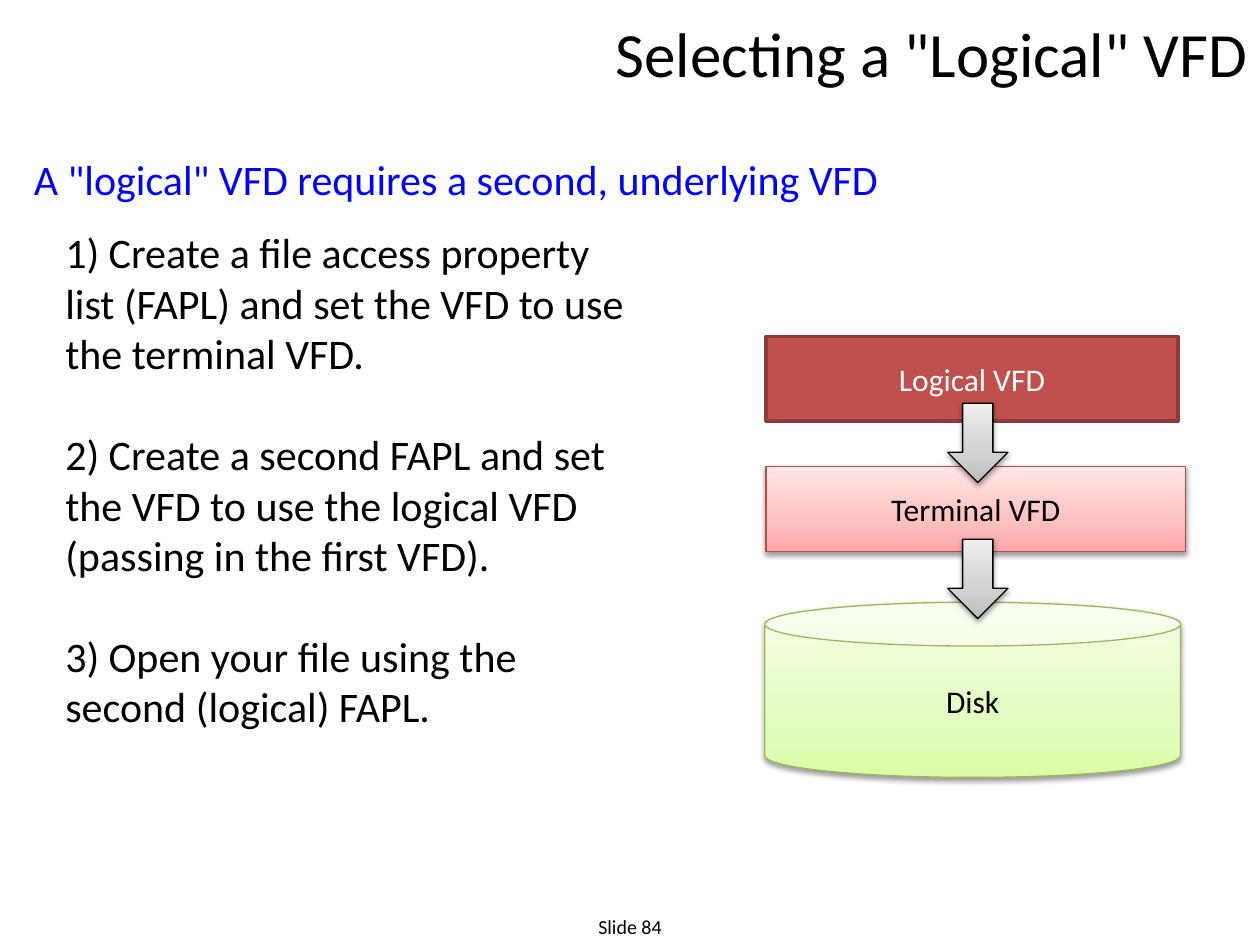
from lxml import etree
from pptx import Presentation, util as u
from pptx.dml.color import RGBColor
from pptx.enum import shapes, text
from pptx.oxml.ns import qn

SHAPE = shapes.MSO_SHAPE
ALIGN = text.PP_ALIGN


def color(hex_string):
    return RGBColor.from_string(hex_string)


def add_color(parent, hex_string):
    return etree.SubElement(parent, qn("a:srgbClr"), val=hex_string)


class SlideBuilder:
    """Draws styled text and diagram shapes on one slide."""

    font = "Calibri"
    stops = (0, 35, 100)

    def __init__(self, slide):
        self.slide = slide

    def fill_frame(self, frame, paragraphs, size, hex_string, align, gap=0):
        frame.word_wrap = True
        for index, words in enumerate(paragraphs):
            paragraph = frame.paragraphs[0] if index == 0 else frame.add_paragraph()
            paragraph.text = words
            paragraph.alignment = align
            if index:
                paragraph.space_before = u.Pt(gap)
            paragraph.font.name = self.font
            paragraph.font.size = u.Pt(size)
            paragraph.font.color.rgb = color(hex_string)

    def text(self, box, paragraphs, size, hex_string="000000", align=ALIGN.LEFT,
             anchor=text.MSO_ANCHOR.TOP, gap=0):
        frame = self.slide.shapes.add_textbox(*map(u.Inches, box)).text_frame
        frame.vertical_anchor = anchor
        self.fill_frame(frame, paragraphs, size, hex_string, align, gap)
        return frame

    def shape(self, kind, box, line, width, label=None, label_color="000000"):
        shape = self.slide.shapes.add_shape(kind, *map(u.Inches, box))
        shape.shadow.inherit = False
        shape.line.color.rgb = color(line)
        shape.line.width = u.Pt(width)
        if label:
            shape.text_frame.vertical_anchor = text.MSO_ANCHOR.MIDDLE
            self.fill_frame(shape.text_frame, [label], 18, label_color, ALIGN.CENTER)
        return shape

    def solid(self, kind, box, fill, *style):
        shape = self.shape(kind, box, *style)
        shape.fill.solid()
        shape.fill.fore_color.rgb = color(fill)

    def shaded(self, kind, box, fills, line, label=None):
        shape = self.shape(kind, box, line, 0.75, label)
        shape.fill.gradient()
        shape.fill.gradient_angle = 90
        properties = shape.element.spPr
        stop_list = properties.find(qn("a:gradFill")).find(qn("a:gsLst"))
        for stop in list(stop_list):
            stop_list.remove(stop)
        for position, fill in zip(self.stops, fills):
            add_color(etree.SubElement(stop_list, qn("a:gs"), pos=str(position * 1000)), fill)
        shadow = etree.SubElement(
            properties.find(qn("a:effectLst")), qn("a:outerShdw"),
            blurRad=str(u.Pt(3.1)), dist=str(u.Pt(1.6)), dir="5400000", rotWithShape="0")
        etree.SubElement(add_color(shadow, "000000"), qn("a:alpha"), val="38000")


def main():
    presentation = Presentation()
    presentation.slide_width = u.Inches(10)
    presentation.slide_height = u.Inches(7.5)
    builder = SlideBuilder(presentation.slides.add_slide(presentation.slide_layouts[6]))

    footer = builder.text((4, 7.25, 2, 0.25), ["Slide 84"], 11.4, align=ALIGN.CENTER)
    footer.paragraphs[0].line_spacing = 0.8
    builder.text((1.42, 0, 8.58, 0.83), ['Selecting a "Logical" VFD'], 36,
                 align=ALIGN.RIGHT, anchor=text.MSO_ANCHOR.MIDDLE)
    builder.text((0.42, 1.75, 4.67, 4.14), [
        "1) Create a file access property list (FAPL) and set the VFD to use the terminal VFD.",
        "2) Create a second FAPL and set the VFD to use the logical VFD "
        "(passing in the first VFD).",
        "3) Open your file using the second (logical) FAPL.",
    ], 24, gap=29)
    builder.text((0.17, 1.17, 9.42, 0.75),
                 ['A "logical" VFD requires a second, underlying VFD'], 24, "0000FF")

    builder.solid(SHAPE.RECTANGLE, (6.08, 2.67, 3.27, 0.67), "C0504D",
                  "8E3B39", 2, "Logical VFD", "FFFFFF")
    builder.shaded(SHAPE.CAN, (6.07, 4.78, 3.3, 1.39),
                   ("DAFDA7", "E4FCC2", "F5FFE7"), "98B955", "Disk")
    builder.shaded(SHAPE.RECTANGLE, (6.08, 3.7, 3.33, 0.68),
                   ("FFA6A5", "FFC0BF", "FFE7E7"), "BF4C48", "Terminal VFD")
    for top in (3.2, 4.28):
        builder.shaded(SHAPE.DOWN_ARROW, (7.52, top, 0.48, 0.63),
                       ("BDBDBD", "D1D1D1", "EEEEEE"), "000000")

    presentation.save("out.pptx")


if __name__ == "__main__":
    main()
